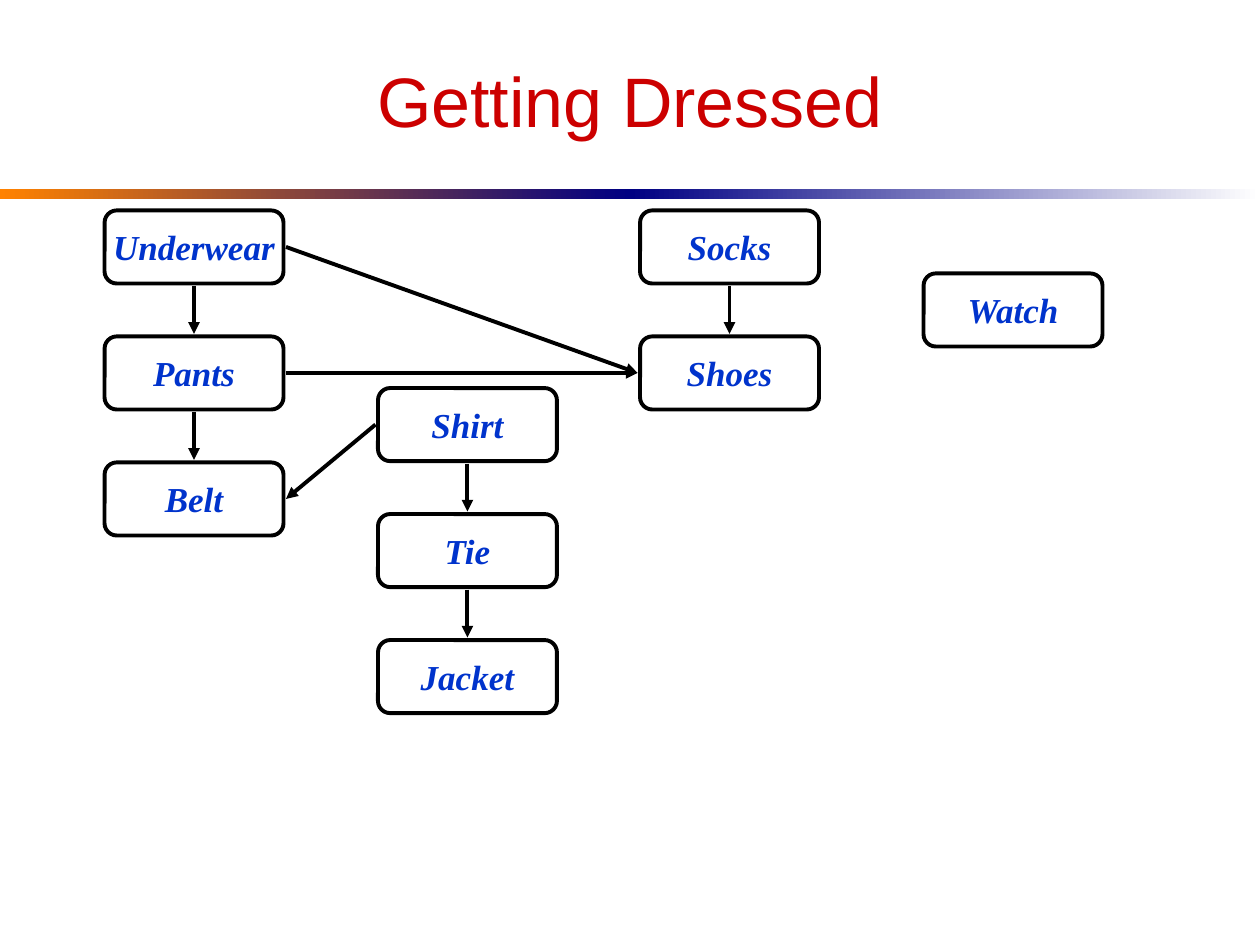
from lxml import etree
from pptx import Presentation
from pptx import util as u
from pptx.dml.color import RGBColor
from pptx.enum import shapes, text
from pptx.oxml.ns import qn

WIDTH, HEIGHT = 10, 7.5
COLUMNS = [0.83, 3, 5.08, 7.33]
TOP, ROW_STEP = 1.67, 1
BOX_W, BOX_H = 1.42, 0.58
GAP = 0.02
GARMENTS = {
    "Underwear": (0, 0),
    "Socks": (2, 0),
    "Shoes": (2, 1),
    "Pants": (0, 1),
    "Belt": (0, 2),
    "Shirt": (1, 1.41),
    "Watch": (3, 0.5),
    "Tie": (1, 2.41),
    "Jacket": (1, 3.41),
}
ORDER = [
    ("Underwear", "Pants"),
    ("Pants", "Belt"),
    ("Shirt", "Belt"),
    ("Shirt", "Tie"),
    ("Tie", "Jacket"),
    ("Socks", "Shoes"),
    ("Underwear", "Shoes"),
    ("Pants", "Shoes"),
]


def color(value):
    return RGBColor.from_string(value)


def inches(*lengths):
    return [u.Inches(n) for n in lengths]


def write(sp, words, size, font, hue, bold=False, italic=False, wrap=True):
    tf = sp.text_frame
    tf.text = words
    tf.word_wrap = wrap
    tf.vertical_anchor = text.MSO_ANCHOR.MIDDLE
    p = tf.paragraphs[0]
    p.alignment = text.PP_ALIGN.CENTER
    f = p.runs[0].font
    f.size, f.name, f.bold, f.italic = u.Pt(size), font, bold, italic
    f.color.rgb = color(hue)


def add_title(s, words):
    sp = s.shapes.add_textbox(*inches(0.5, 0.25, WIDTH - 1, 1.08))
    write(sp, words, 40, "Arial", "CC0000")


def add_bar(s, left, start, end):
    sp = s.shapes.add_shape(shapes.MSO_SHAPE.RECTANGLE,
                            *inches(left, HEIGHT / 5, WIDTH / 2, 0.08))
    sp.shadow.inherit = False
    sp.line.fill.background()
    sp.fill.gradient()
    sp.fill.gradient_angle = 0
    for stop, hue in zip(sp.fill.gradient_stops, (start, end)):
        stop.color.rgb = color(hue)


def corner(name):
    column, row = GARMENTS[name]
    return COLUMNS[column], TOP + row * ROW_STEP


def add_garment(s, name):
    sp = s.shapes.add_shape(shapes.MSO_SHAPE.ROUNDED_RECTANGLE,
                            *inches(*corner(name), BOX_W, BOX_H))
    sp.shadow.inherit = False
    sp.adjustments[0] = 0.167
    sp.fill.background()
    sp.line.color.rgb = color("000000")
    sp.line.width = u.Pt(2.25)
    write(sp, name, 20, "Times New Roman", "0033CC", True, True, False)


def arrow_ends(first, second):
    (x1, y1), (x2, y2) = corner(first), corner(second)
    if x1 == x2:
        middle = x1 + BOX_W / 2
        return middle, y1 + BOX_H + GAP, middle, y2 - GAP
    y1, y2 = y1 + BOX_H / 2, y2 + BOX_H / 2
    if x1 < x2:
        return x1 + BOX_W + GAP, y1, x2 - GAP, y2
    return x1 - GAP, y1, x2 + BOX_W + GAP, y2


def add_arrow(s, first, second):
    c = s.shapes.add_connector(shapes.MSO_CONNECTOR.STRAIGHT,
                               *inches(*arrow_ends(first, second)))
    c.line.color.rgb = color("000000")
    c.line.width = u.Pt(2.25)
    etree.SubElement(c.line._get_or_add_ln(), qn("a:tailEnd"), type="triangle")
    etree.SubElement(c._element.spPr, qn("a:effectLst"))


def main():
    prs = Presentation()
    prs.slide_width, prs.slide_height = inches(WIDTH, HEIGHT)
    s = prs.slides.add_slide(prs.slide_layouts[6])
    add_bar(s, 0, "FF8200", "000082")
    add_bar(s, WIDTH / 2, "000082", "FFFFFF")
    add_title(s, "Getting Dressed")
    for name in GARMENTS:
        add_garment(s, name)
    for first, second in ORDER:
        add_arrow(s, first, second)
    prs.save("out.pptx")


if __name__ == "__main__":
    main()
